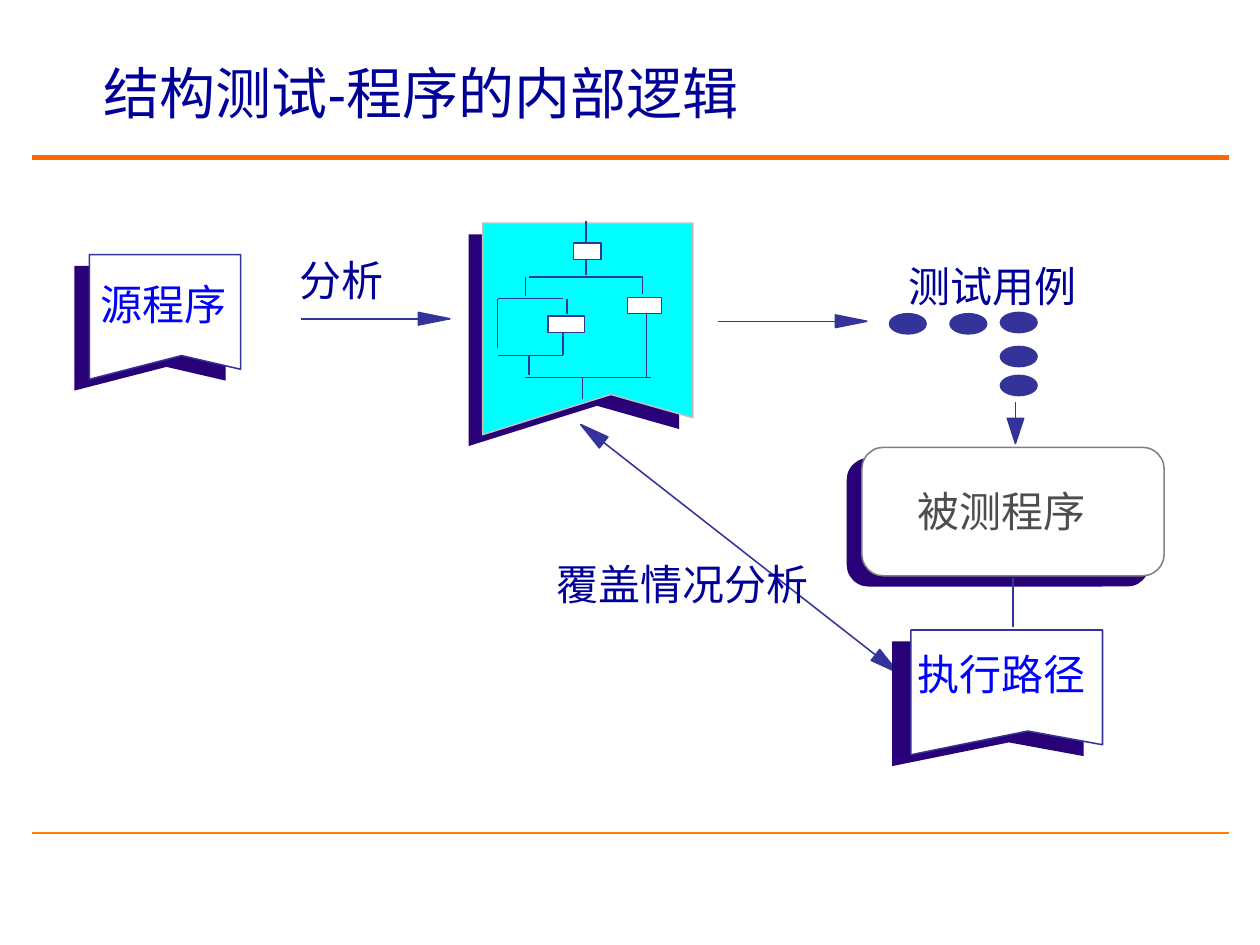
"""Build a slide on structural testing: from source program to coverage analysis."""
from math import hypot

from lxml.etree import SubElement
from pptx import Presentation
from pptx.dml.color import RGBColor
from pptx.enum.shapes import MSO_CONNECTOR as Connector, MSO_SHAPE as Shape
from pptx.enum.text import MSO_ANCHOR as Anchor, MSO_AUTO_SIZE as AutoSize, PP_ALIGN as Align
from pptx.oxml.ns import qn
from pptx.util import Inches, Pt

NAVY, INDIGO, BLUE = "000099", "333399", "0000FF"
SHADE, WHITE, CYAN = "280078", "FFFFFF", "00FFFF"
SANS = "Noto Sans CJK SC"


def color(value):
    return RGBColor.from_string(value)


def cells(*counts):
    """Turn counts of 0.1 inch grid cells into lengths."""
    return [Inches(count / 10) for count in counts]


def write(frame, text, size=24, font=SANS, ink=NAVY, leading=None):
    para = frame.paragraphs[0]
    para.alignment = Align.LEFT
    if leading:
        para.line_spacing = Pt(leading)
    span = para.add_run()
    span.text = text
    span.font.size = Pt(size)
    span.font.color.rgb = color(ink)
    span.font.name = font
    SubElement(span.font._element, qn("a:ea")).set("typeface", SANS)


class Canvas:
    """Draws styled elements on a slide ruled in 100 columns and 75 rows."""

    def __init__(self, page, stroke=0.88):
        self.page = page
        self.shapes = page.shapes
        self.stroke = stroke

    def paint(self, shape, fill, line):
        shape.shadow.inherit = False
        if fill:
            shape.fill.solid()
            shape.fill.fore_color.rgb = color(fill)
        else:
            shape.fill.background()
        if line:
            shape.line.color.rgb = color(line)
            shape.line.width = Pt(self.stroke)
        else:
            shape.line.fill.background()

    def title(self, text, left, top, width, height):
        box = self.shapes.title
        box.left, box.top, box.width, box.height = cells(left, top, width, height)
        box.text_frame.vertical_anchor = Anchor.MIDDLE
        write(box.text_frame, text, size=32, font="Arial", leading=42)

    def label(self, text, left, top, ink=NAVY):
        width = len(text) * 10 / 3
        frame = self.shapes.add_textbox(*cells(left, top, width, 4)).text_frame
        frame.margin_left = frame.margin_right = 0
        frame.margin_top = frame.margin_bottom = 0
        frame.word_wrap = False
        frame.auto_size = AutoSize.SHAPE_TO_FIT_TEXT
        write(frame, text, ink=ink)

    def line(self, start, end, ink=INDIGO, width=None):
        link = self.shapes.add_connector(Connector.STRAIGHT, *cells(*start, *end))
        link.line.color.rgb = color(ink)
        link.line.width = Pt(width or self.stroke)
        SubElement(link._element.spPr, qn("a:effectLst"))

    def outline(self, points, fill=None, line=None, close=True):
        first, *rest = [cells(*point) for point in points]
        builder = self.shapes.build_freeform(*first, scale=1.0)
        builder.add_line_segments(rest, close=close)
        self.paint(builder.convert_to_shape(), fill, line)

    def shape(self, kind, left, top, width, height, fill=WHITE, line=INDIGO):
        shape = self.shapes.add_shape(kind, *cells(left, top, width, height))
        self.paint(shape, fill, line)
        return shape

    def head(self, start, tip, length, width):
        """Draw a solid arrowhead at tip, pointing away from start."""
        (x, y), span = tip, hypot(tip[0] - start[0], tip[1] - start[1])
        along_x, along_y = (x - start[0]) / span, (y - start[1]) / span
        base_x, base_y = x - along_x * length, y - along_y * length
        side_x, side_y = along_y * width / 2, along_x * width / 2
        self.outline([(base_x + side_x, base_y - side_y), tip,
                      (base_x - side_x, base_y + side_y)], INDIGO, INDIGO)

    def arrow(self, start, end, length=2.5, width=1, both=False):
        self.line(start, end)
        self.head(start, end, length, width)
        if both:
            self.head(end, start, length, width)

    def banner(self, left, top, width, height, depth=1.2, fill=WHITE, line=INDIGO):
        """Draw a notched sheet in front of its dark offset copy."""
        corners = [(0, 0), (0, 1), (0.61, 0.81), (1, 0.92), (1, 0)]
        for shift, drop, tint, edge in ((-depth, 0.9, SHADE, None), (0, 0, fill, line)):
            self.outline([(left + shift + x * width, top + drop + y * height)
                          for x, y in corners], tint, edge)

    def panel(self, left, top, width, height):
        """Draw a rounded panel in front of its dark offset copy."""
        for shift, drop, tint, edge in ((-1.2, 0.85, SHADE, None), (0, 0, WHITE, "808080")):
            shape = self.shape(Shape.ROUNDED_RECTANGLE, left + shift, top + drop,
                               width, height, tint, edge)
            shape.adjustments[0] = 0.17


def draw_flowchart(canvas):
    canvas.banner(38.3, 17.7, 16.7, 16.8, depth=1.1, fill=CYAN, line="C0C0C0")
    upright = [(46.5, 17.5, 19.2), (46.5, 20.4, 21.8),
               (41.7, 22, 23.5), (45, 23.7, 24.9), (39.5, 23.7, 27.6),
               (44.7, 26.3, 28.2), (42, 28.2, 29.8), (51.3, 24.7, 29.9),
               (46.25, 29.9, 31.7)]
    level = [(23.7, 39.5, 44.7), (28.2, 39.5, 44.7), (29.95, 41.7, 51.7)]
    for x, top, bottom in upright:
        canvas.line((x, top), (x, bottom))
    for y, left, right in level:
        canvas.line((left, y), (right, y))
    canvas.outline([(42, 22), (51, 22), (51, 23.3)], line=INDIGO, close=False)
    for left, top, width in ((45.5, 19.3, 2.2), (49.8, 23.6, 2.7), (43.5, 25.1, 2.9)):
        canvas.shape(Shape.RECTANGLE, left, top, width, 1.3)


def main():
    deck = Presentation()
    deck.slide_width, deck.slide_height = cells(100, 75)
    canvas = Canvas(deck.slides.add_slide(deck.slide_layouts[5]))

    canvas.line((2.5, 66.1), (97.5, 66.1), "FF7D00", 1)
    canvas.line((2.5, 12.5), (97.5, 12.5), "FF6600", 3)
    canvas.title("结构测试-程序的内部逻辑", 7.2, 2.5, 88.3, 9.2)

    canvas.banner(7.1, 20.2, 12, 9.9)
    canvas.label("源程序", 8, 22.1, BLUE)
    canvas.label("分析", 23.8, 20.2)
    canvas.arrow((23.9, 25.3), (35.7, 25.3))
    draw_flowchart(canvas)

    canvas.arrow((57, 25.5), (68.8, 25.5))
    canvas.label("测试用例", 72.1, 20.7)
    for left, top in ((70.6, 24.9), (75.4, 24.9), (79.4, 24.8), (79.4, 27.5), (79.4, 29.8)):
        canvas.shape(Shape.OVAL, left, top, 2.9, 1.6, INDIGO)

    canvas.panel(68.4, 35.5, 24, 10.2)
    canvas.label("被测程序", 72.8, 38.5, "4D4D4D")
    canvas.arrow((80.6, 31.9), (80.6, 35.2), length=2, width=1.3)
    canvas.line((80.4, 45.9), (80.4, 49.8))

    canvas.arrow((46.1, 33.7), (71.3, 53.4), length=2.3, width=1.1, both=True)
    canvas.label("覆盖情况分析", 44.2, 44.3)
    canvas.banner(72.3, 50, 15.2, 9.9, depth=1.5)
    canvas.label("执行路径", 72.8, 51.5, BLUE)

    deck.save("out.pptx")


if __name__ == "__main__":
    main()
